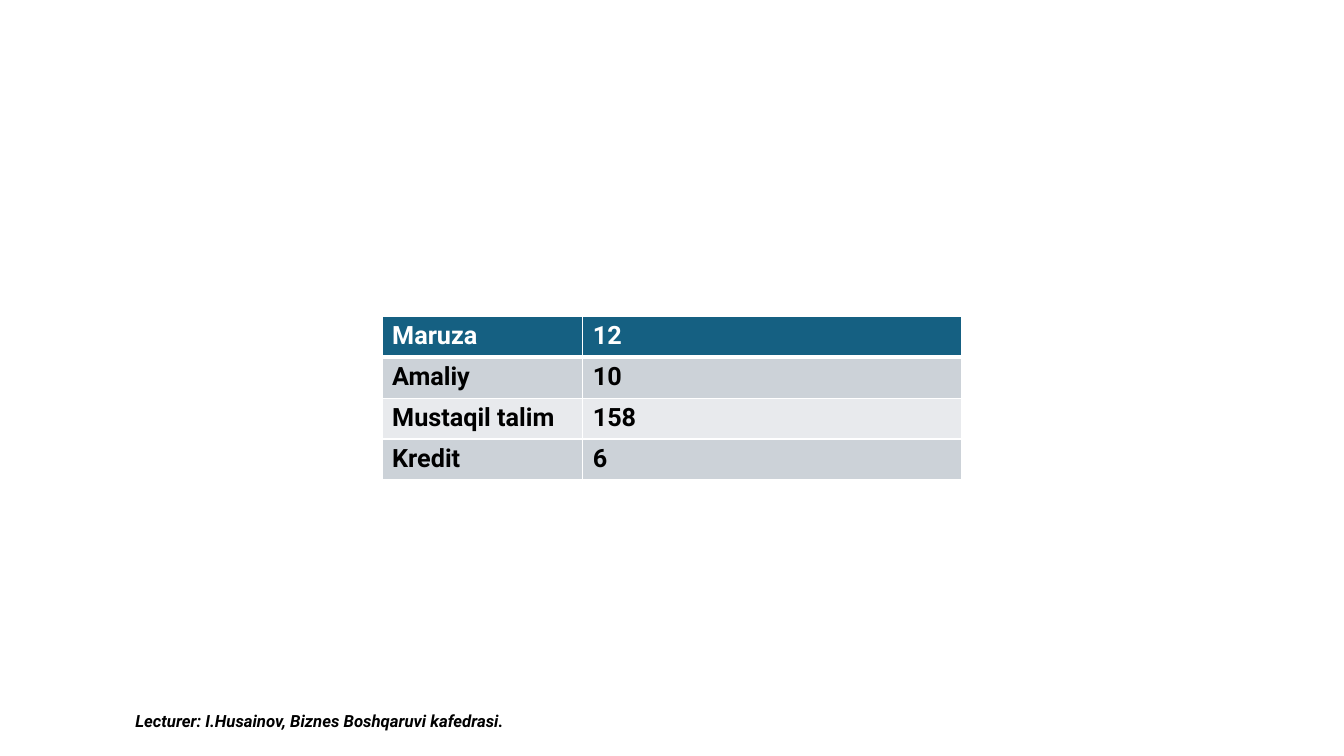
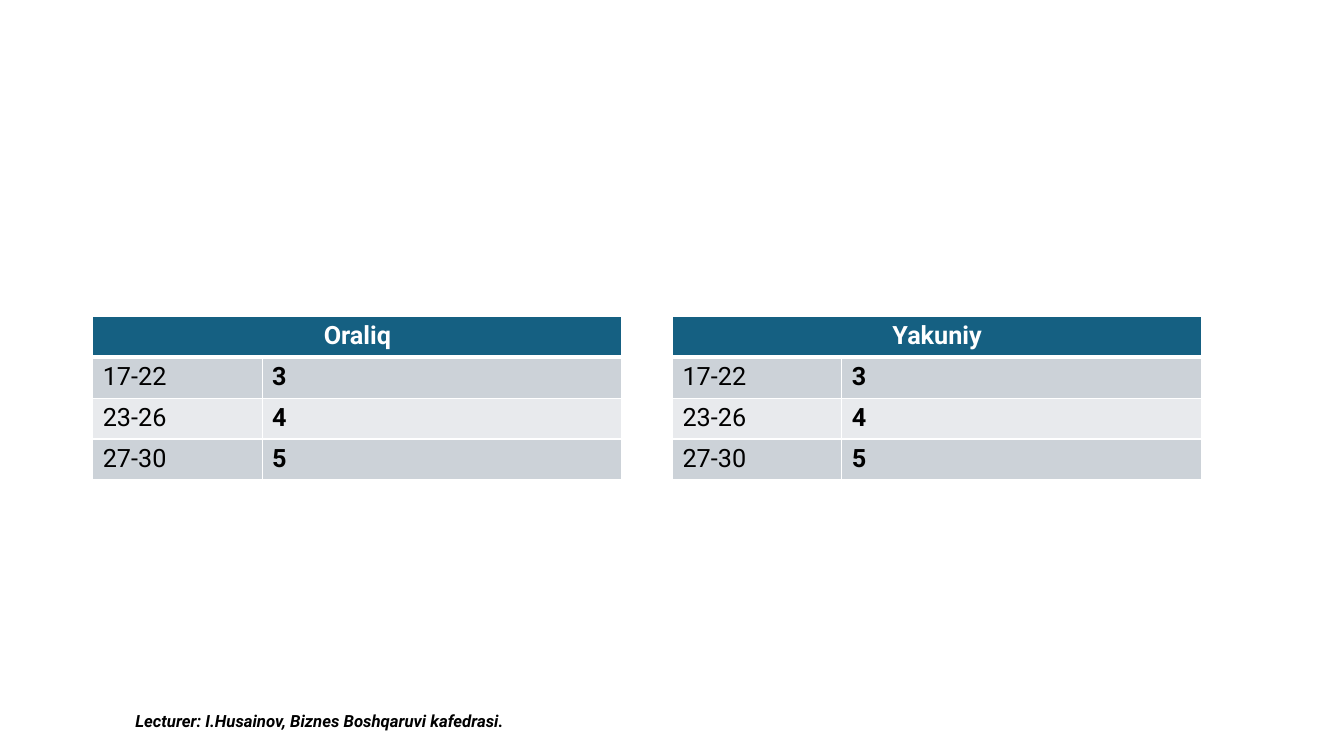
from lxml import etree
from pptx import Presentation
from pptx.dml.color import RGBColor
from pptx.enum.text import MSO_ANCHOR, PP_ALIGN
from pptx.oxml.ns import qn
from pptx.util import Inches, Pt

FONT = "Roboto"
COLORS = {"header": "156082", "odd": "CCD2D8", "even": "E8EAED",
          "white": "FFFFFF", "black": "000000"}
FOOTER = "Lecturer: I.Husainov, Biznes Boshqaruvi kafedrasi."
TABLE_TOP, ROW_HEIGHT = 3.14, 0.405

HOURS = [("Maruza", "12"), ("Amaliy", "10"), ("Mustaqil talim", "158"), ("Kredit", "6")]
GRADES = [("17-22", "3"), ("23-26", "4"), ("27-30", "5")]
GRADE_COLS = (1.68, 3.57)

# One list per slide; a one-cell first row spans the table.
SLIDES = [
    [{"left": 3.79, "cols": (1.99, 3.76), "rows": HOURS, "bold_cols": (0, 1)}],
    [{"left": left, "cols": GRADE_COLS, "rows": [(heading,), *GRADES], "bold_cols": (1,)}
     for left, heading in ((0.92, "Oraliq"), (6.67, "Yakuniy"))],
]


def rgb(name):
    return RGBColor.from_string(COLORS[name])


def style_font(font, size, color, bold, italic=False):
    font.name, font.size = FONT, Pt(size)
    font.bold, font.italic = bold, italic
    font.color.rgb = rgb(color)


def set_borders(cell, row):
    """White rules, with a thick one between the header and the body."""
    widths = {"lnL": 1, "lnR": 1, "lnT": 3 if row == 1 else 1, "lnB": 3 if row == 0 else 1}
    tc_pr = cell._tc.get_or_add_tcPr()
    for tag, width in widths.items():
        line = etree.SubElement(tc_pr, qn(f"a:{tag}"), w=str(Pt(width)))
        fill = etree.SubElement(line, qn("a:solidFill"))
        etree.SubElement(fill, qn("a:srgbClr"), val=COLORS["white"])


def add_table(s, left, cols, rows, bold_cols):
    frame = s.shapes.add_table(len(rows), len(cols), Inches(left), Inches(TABLE_TOP),
                               Inches(sum(cols)), Inches(ROW_HEIGHT * len(rows)))
    table = frame.table
    for column, width in zip(table.columns, cols):
        column.width = Inches(width)
    for i, values in enumerate(rows):
        table.rows[i].height = Inches(ROW_HEIGHT)
        header = i == 0
        fill = "header" if header else "odd" if i % 2 else "even"
        for j in range(len(cols)):
            cell = table.cell(i, j)
            set_borders(cell, i)
            cell.fill.solid()
            cell.fill.fore_color.rgb = rgb(fill)
        for j, value in enumerate(values):
            cell = table.cell(i, j)
            cell.text = value
            style_font(cell.text_frame.paragraphs[0].font, 18,
                       "white" if header else "black", header or j in bold_cols)
    if len(rows[0]) == 1:
        heading = table.cell(0, 0)
        heading.merge(table.cell(0, len(cols) - 1))
        heading.text_frame.paragraphs[0].alignment = PP_ALIGN.CENTER


def add_footer(s):
    box = s.shapes.add_textbox(Inches(0.92), Inches(6.95), Inches(4.5), Inches(0.4))
    tf = box.text_frame
    tf.word_wrap = True
    tf.vertical_anchor = MSO_ANCHOR.MIDDLE
    p = tf.paragraphs[0]
    p.text, p.alignment = FOOTER, PP_ALIGN.CENTER
    style_font(p.font, 12, "black", True, italic=True)


def main():
    prs = Presentation()
    prs.slide_width, prs.slide_height = Inches(13.33), Inches(7.5)
    blank = prs.slide_layouts[6]
    for tables in SLIDES:
        s = prs.slides.add_slide(blank)
        for table in tables:
            add_table(s, **table)
        add_footer(s)
    prs.save("out.pptx")


if __name__ == "__main__":
    main()
